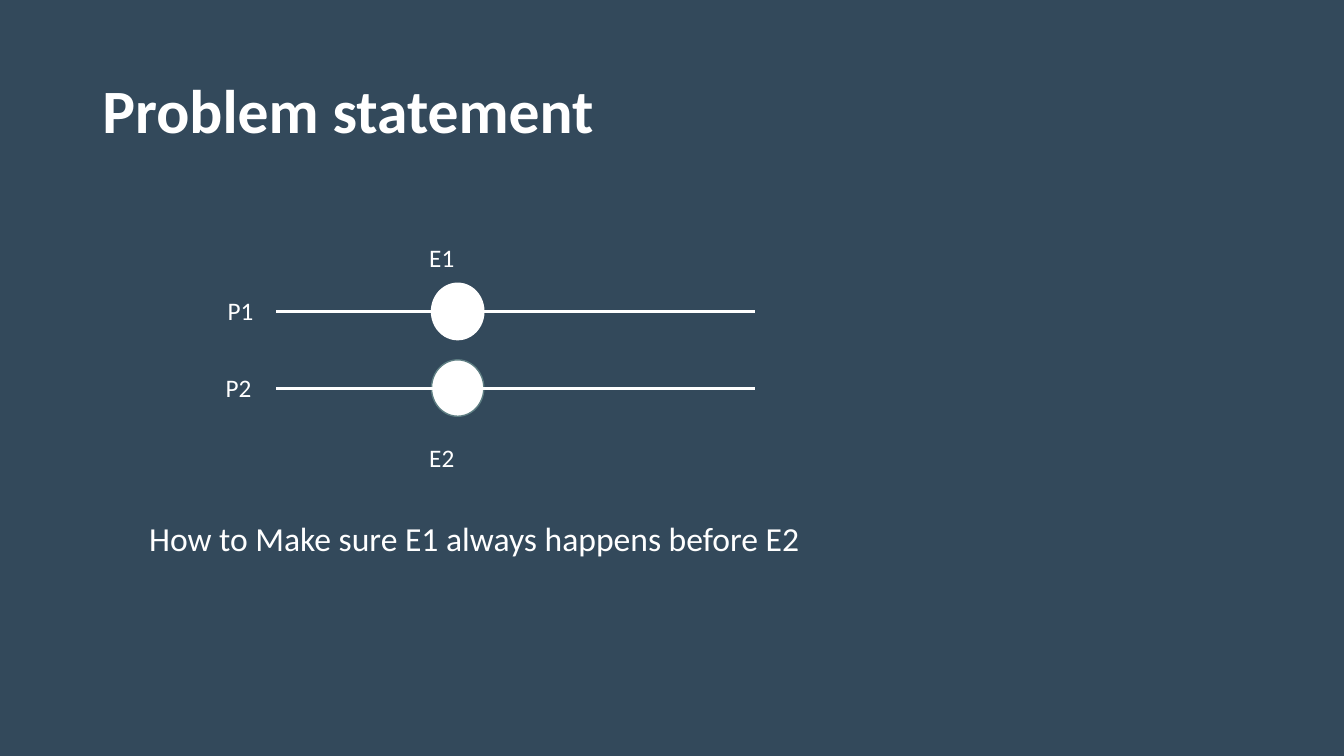
"""Build the problem statement slide about ordering events in two processes."""
from dataclasses import dataclass

from lxml.etree import SubElement
from pptx import Presentation
from pptx.dml.color import RGBColor
from pptx.enum.shapes import MSO_CONNECTOR, MSO_SHAPE
from pptx.enum.text import MSO_ANCHOR, MSO_AUTO_SIZE, PP_ALIGN
from pptx.oxml.ns import qn
from pptx.slide import Slide
from pptx.text.text import TextFrame
from pptx.util import Pt

NAVY = RGBColor(0x33, 0x49, 0x5B)
WHITE = RGBColor(0xFF, 0xFF, 0xFF)
TEAL = RGBColor(0x5D, 0x7D, 0x82)

TIMELINE_START, TIMELINE_END = 197.3, 539.3
EVENT_LEFT, EVENT_WIDTH, EVENT_HEIGHT = 308.2, 37.4, 40.3
EVENT_LABEL_LEFT = 299.5
LABEL_WIDTH, LABEL_HEIGHT = 54, 30


@dataclass(frozen=True)
class Process:
    """A process timeline carrying one event."""

    name: str
    event: str
    axis: float
    name_left: float
    name_top: float
    event_label_top: float
    event_outline: RGBColor


PROCESSES = (
    Process("P1", "E1", 222.5, 155.5, 207.4, 169.9, WHITE),
    Process("P2", "E2", 277.2, 154.1, 262.1, 312.5, TEAL),
)


def write(frame: TextFrame, text: str, *, size: float, bold: bool = False,
          anchor: MSO_ANCHOR = MSO_ANCHOR.TOP, spacing: float = 1.0) -> None:
    """Fill a text frame with one formatted, left-aligned paragraph."""
    frame.word_wrap = True
    frame.auto_size = MSO_AUTO_SIZE.NONE
    frame.vertical_anchor = anchor
    paragraph = frame.paragraphs[0]
    paragraph.alignment = PP_ALIGN.LEFT
    paragraph.line_spacing = spacing
    run = paragraph.add_run()
    run.text = text
    run.font.name = "Calibri"
    run.font.size = Pt(size)
    run.font.bold = bold
    run.font.color.rgb = WHITE


def add_label(slide: Slide, text: str, left: float, top: float, *,
              width: float = LABEL_WIDTH, height: float = LABEL_HEIGHT,
              size: float = 18) -> None:
    """Add a text box with its top left corner at the given point."""
    label = slide.shapes.add_textbox(Pt(left), Pt(top), Pt(width), Pt(height))
    write(label.text_frame, text, size=size)


def draw_event(slide: Slide, process: Process) -> None:
    """Draw the event as a disc centred on the timeline."""
    event = slide.shapes.add_shape(
        MSO_SHAPE.OVAL, Pt(EVENT_LEFT), Pt(process.axis - EVENT_HEIGHT / 2),
        Pt(EVENT_WIDTH), Pt(EVENT_HEIGHT))
    event.shadow.inherit = False
    event.fill.solid()
    event.fill.fore_color.rgb = WHITE
    event.line.color.rgb = process.event_outline
    event.line.width = Pt(1)


def draw_timeline(slide: Slide, process: Process) -> None:
    """Draw the horizontal timeline of a process."""
    timeline = slide.shapes.add_connector(
        MSO_CONNECTOR.STRAIGHT, Pt(TIMELINE_START), Pt(process.axis),
        Pt(TIMELINE_END), Pt(process.axis))
    timeline.line.color.rgb = WHITE
    timeline.line.width = Pt(2.25)
    SubElement(timeline._element.spPr, qn("a:effectLst"))


def draw_process_labels(slide: Slide, process: Process) -> None:
    """Name the process and its event."""
    add_label(slide, process.name, process.name_left, process.name_top)
    add_label(slide, process.event, EVENT_LABEL_LEFT, process.event_label_top)


def main() -> None:
    """Assemble and save the slide."""
    deck = Presentation()
    deck.slide_width, deck.slide_height = Pt(960), Pt(540)
    slide = deck.slides.add_slide(deck.slide_layouts[5])
    slide.background.fill.solid()
    slide.background.fill.fore_color.rgb = NAVY

    title = slide.shapes.title
    title.left, title.top = Pt(66), Pt(28.8)
    title.width, title.height = Pt(828), Pt(104.4)
    write(title.text_frame, "Problem statement", size=44, bold=True,
          anchor=MSO_ANCHOR.MIDDLE, spacing=0.9)

    for draw in (draw_event, draw_timeline, draw_process_labels):
        for process in PROCESSES:
            draw(slide, process)

    add_label(slide, "How to Make sure E1 always happens before E2",
              99.4, 366.5, width=606.2, height=36, size=24)
    deck.save("out.pptx")


if __name__ == "__main__":
    main()
